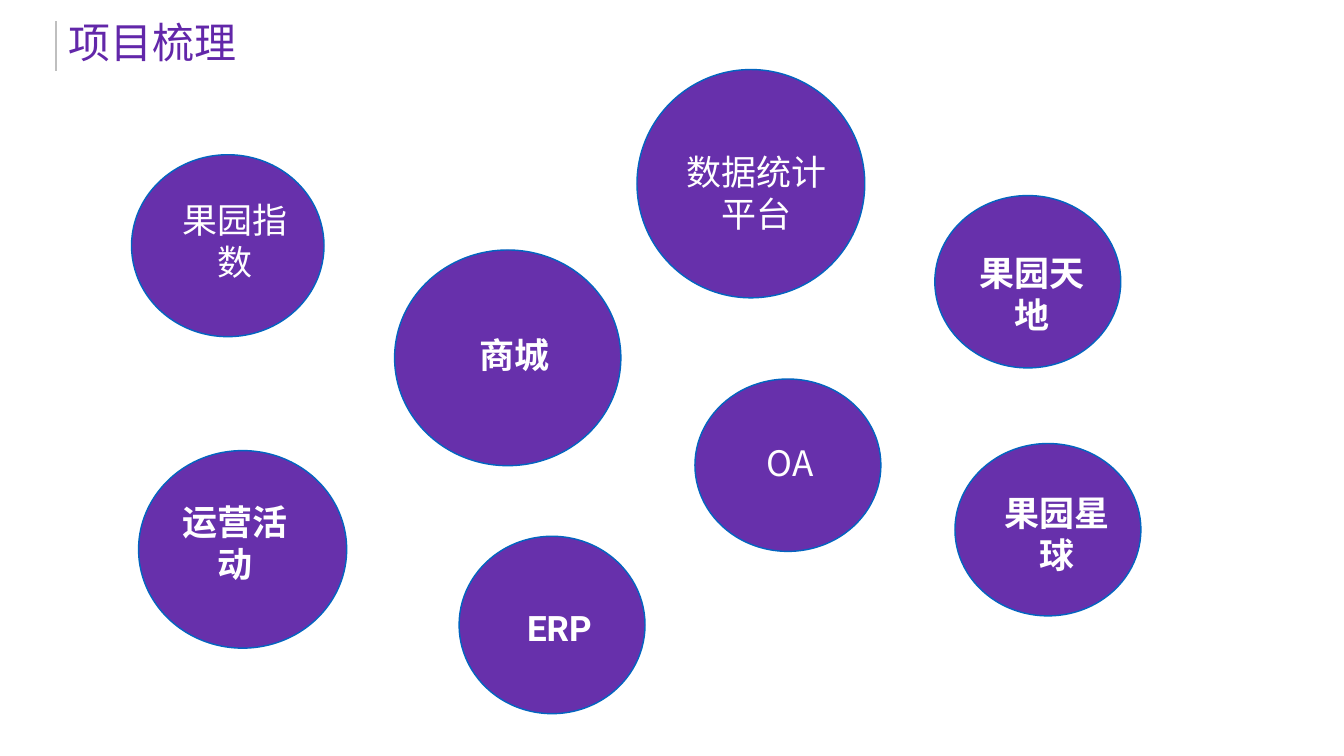
from lxml.etree import SubElement
from pptx import Presentation
from pptx.dml.color import RGBColor
from pptx.enum.shapes import MSO_CONNECTOR as CONN, MSO_SHAPE as SHAPE
from pptx.enum.text import MSO_ANCHOR as ANCHOR, PP_ALIGN as ALIGN
from pptx.oxml.ns import qn
from pptx.util import Pt

PX = 9144
PURPLE = RGBColor(0x67, 0x30, 0xAB)
TITLE = RGBColor(0x62, 0x27, 0xA9)
BLUE = RGBColor(0x03, 0x65, 0xC0)
GRAY = RGBColor(0xBF, 0xBF, 0xBF)
WHITE = RGBColor(0xFF, 0xFF, 0xFF)
CJK = "Noto Sans CJK SC"

BUBBLES = [
    ("商城", (783, 496, 449, 428), (895, 656, 253, 95), True, CJK),
    ("数据统计平台", (1264, 138, 452, 453), (1336, 292, 332, 180), False, CJK),
    ("OA", (1379, 752, 369, 342), (1448, 870, 240, 95), False, CJK),
    ("ERP", (911, 1064, 369, 352), (1004, 1198, 212, 95), True, "Roboto"),
    ("果园指数", (261, 307, 382, 361), (332, 388, 268, 180), False, CJK),
    ("果园星球", (1895, 880, 369, 342), (1972, 969, 252, 180), True, CJK),
    ("运营活动", (275, 894, 413, 392), (332, 987, 268, 180), True, CJK),
    ("果园天地", (1855, 388, 369, 342), (1933, 492, 229, 180), True, CJK),
]


def write(tf, text, size=50, font=CJK, color=WHITE, bold=False, spacing=60):
    p = tf.paragraphs[0]
    p.alignment = ALIGN.CENTER
    p.line_spacing = Pt(spacing)
    r = p.add_run()
    r.text = text
    r.font.size = Pt(size)
    r.font.bold = bold
    r.font.color.rgb = color
    r.font.name = font
    SubElement(r.font._element, qn("a:ea")).set("typeface", CJK)


class Board:
    def __init__(self, slide, line_width=2):
        self.slide = slide
        self.line_width = Pt(line_width)

    def rule(self, x1, y1, x2, y2, color):
        ends = [v * PX for v in (x1, y1, x2, y2)]
        line = self.slide.shapes.add_connector(CONN.STRAIGHT, *ends)
        line.line.color.rgb = color
        line.line.width = self.line_width
        SubElement(line._element.spPr, qn("a:effectLst"))

    def circle(self, box):
        sp = self.slide.shapes.add_shape(SHAPE.OVAL, *[v * PX for v in box])
        sp.shadow.inherit = False
        sp.fill.solid()
        sp.fill.fore_color.rgb = PURPLE
        sp.line.color.rgb = BLUE
        sp.line.width = self.line_width

    def label(self, box, text, inset=6, wrap=True, anchor=ANCHOR.MIDDLE, **style):
        tf = self.slide.shapes.add_textbox(*[v * PX for v in box]).text_frame
        tf.word_wrap = wrap
        tf.vertical_anchor = anchor
        tf.margin_left = tf.margin_right = inset * PX
        tf.margin_top = tf.margin_bottom = min(inset, 6) * PX
        write(tf, text, **style)


def main():
    prs = Presentation()
    prs.slide_width, prs.slide_height = 2667 * PX, 1500 * PX
    s = prs.slides.add_slide(prs.slide_layouts[6])
    board = Board(s)
    board.rule(111, 42, 111, 140, GRAY)
    board.label((124, 27, 357, 111), "项目梳理", inset=10, wrap=False,
                anchor=ANCHOR.TOP, size=60, font="Arial Narrow",
                color=TITLE, spacing=72)
    for text, circle, label, bold, font in BUBBLES:
        board.circle(circle)
        board.label(label, text, bold=bold, font=font)
    prs.save("out.pptx")


if __name__ == "__main__":
    main()
